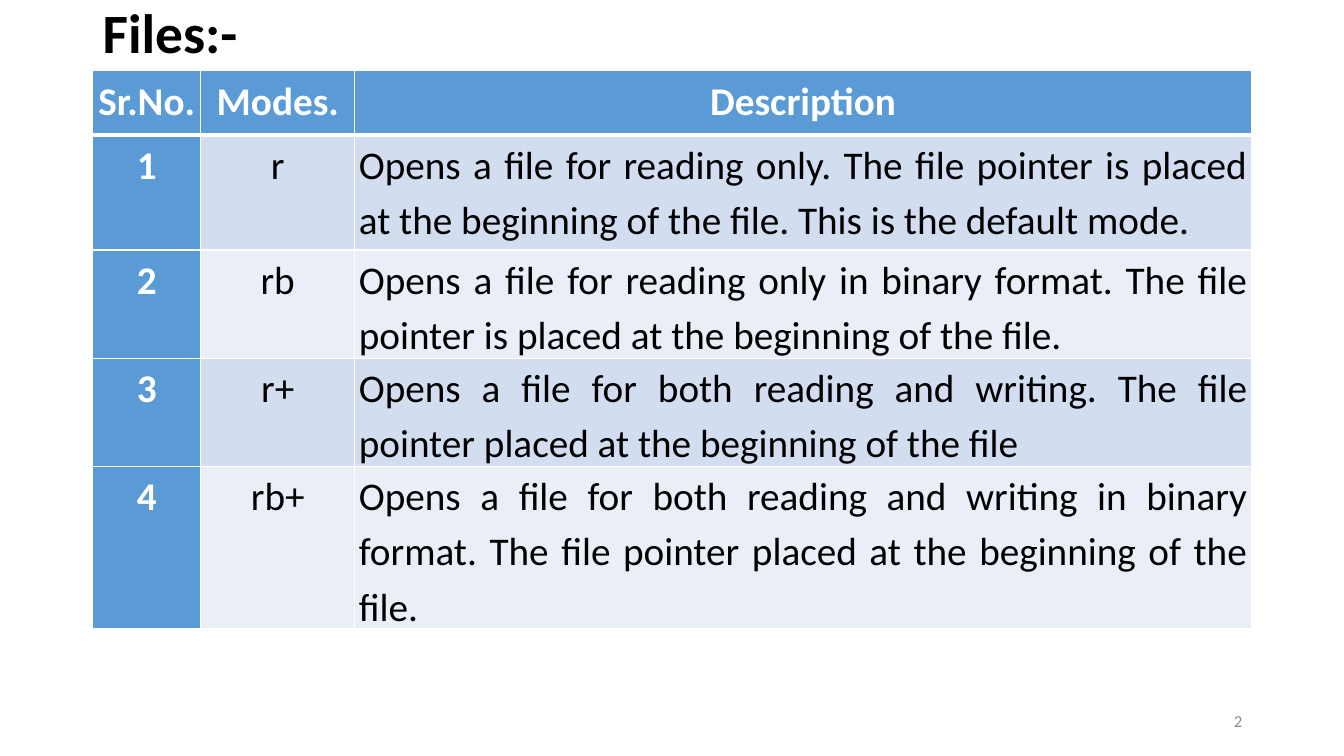
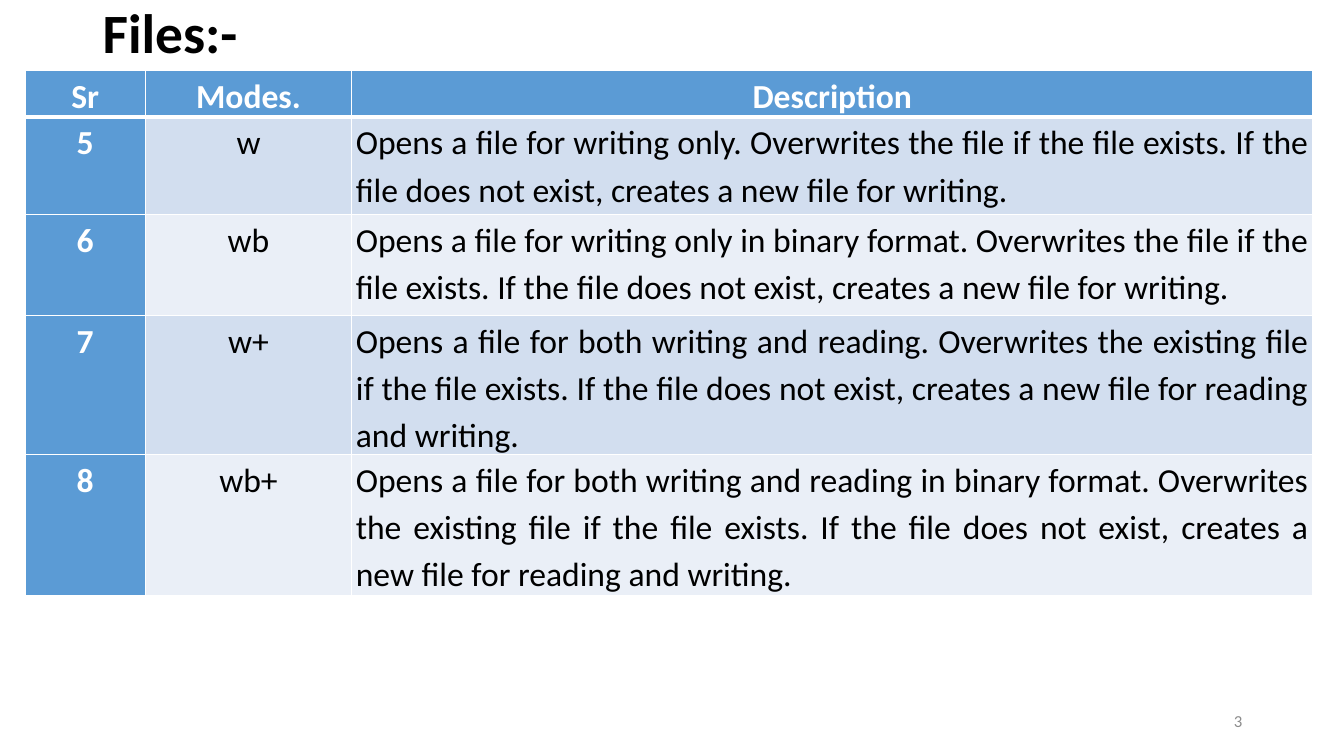
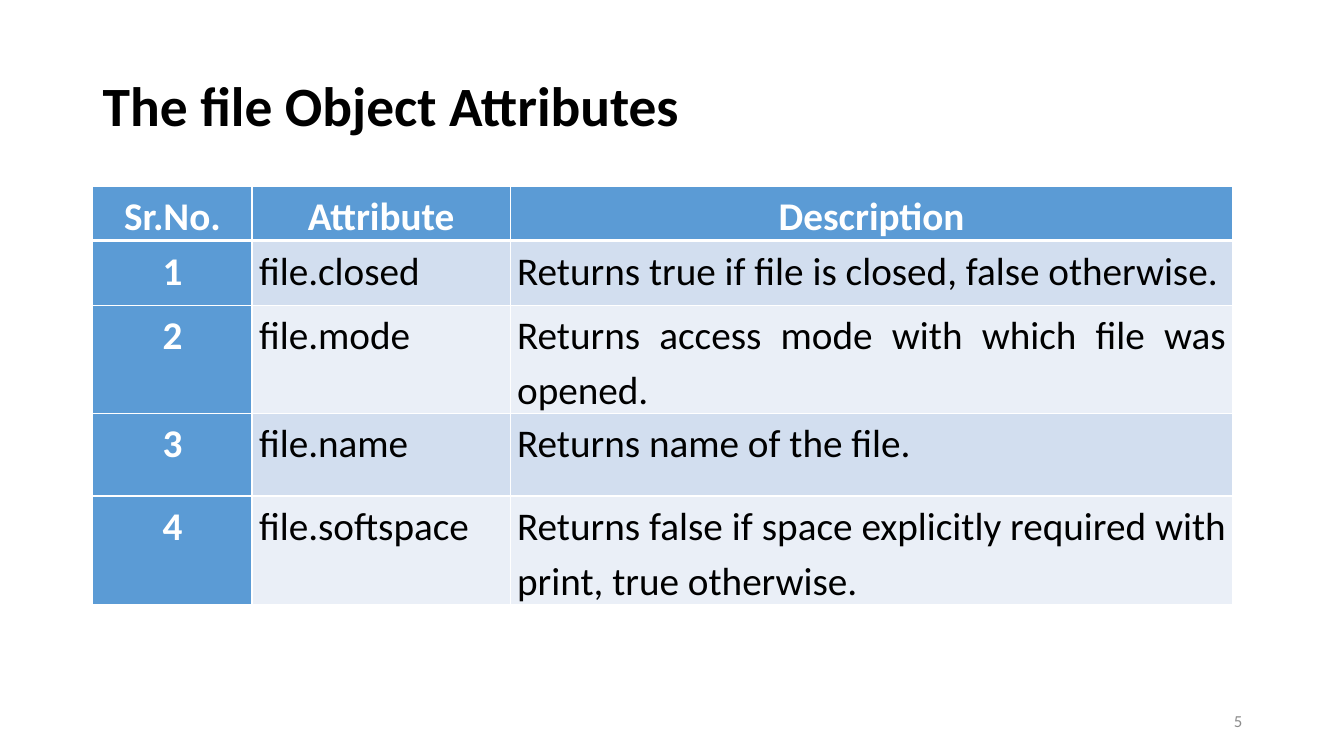
from lxml.etree import SubElement
from pptx import Presentation
from pptx.dml.color import RGBColor
from pptx.enum.text import MSO_ANCHOR, PP_ALIGN
from pptx.oxml.ns import qn
from pptx.util import Inches, Pt

FONT = "Calibri"
BLACK = RGBColor(0x00, 0x00, 0x00)
WHITE = RGBColor(0xFF, 0xFF, 0xFF)
GREY = RGBColor(0x8C, 0x8C, 0x8C)
BLUE = RGBColor(0x5B, 0x9B, 0xD5)
BANDS = (RGBColor(0xD2, 0xDE, 0xEF), RGBColor(0xEA, 0xEF, 0xF7))

MARGIN = 0.92
TITLE_WIDTH = 11.5
CENTER, JUSTIFY = PP_ALIGN.CENTER, PP_ALIGN.JUSTIFY

READ_MODES = [
    ("Sr.No.", "Modes.", "Description"),
    ("1", "r", "Opens a file for reading only. The file pointer is placed at the "
               "beginning of the file. This is the default mode."),
    ("2", "rb", "Opens a file for reading only in binary format. The file pointer is "
                "placed at the beginning of the file."),
    ("3", "r+", "Opens a file for both reading and writing. The file pointer placed at "
                "the beginning of the file"),
    ("4", "rb+", "Opens a file for both reading and writing in binary format. The file "
                 "pointer placed at the beginning of the file."),
]
WRITE_MODES = [
    ("Sr", "Modes.", "Description"),
    ("5", "w", "Opens a file for writing only. Overwrites the file if the file exists. "
               "If the file does not exist, creates a new file for writing."),
    ("6", "wb", "Opens a file for writing only in binary format. Overwrites the file if "
                "the file exists. If the file does not exist, creates a new file for writing."),
    ("7", "w+", "Opens a file for both writing and reading. Overwrites the existing file "
                "if the file exists. If the file does not exist, creates a new file for "
                "reading and writing."),
    ("8", "wb+", "Opens a file for both writing and reading in binary format. Overwrites "
                 "the existing file if the file exists. If the file does not exist, creates "
                 "a new file for reading and writing."),
]
FILE_ATTRIBUTES = [
    ("Sr.No.", "Attribute", "Description"),
    ("1", "file.closed", "Returns true if file is closed, false otherwise."),
    ("2", "file.mode", "Returns access mode with which file was opened."),
    ("3", "file.name", "Returns name of the file."),
    ("4", "file.softspace", "Returns false if space explicitly required with print, "
                            "true otherwise."),
]


def add_run(paragraph, text, size, color, bold=False):
    run = paragraph.add_run()
    run.text = text
    run.font.name = FONT
    run.font.size = Pt(size)
    run.font.bold = bold
    run.font.color.rgb = color


def add_text(slide, box, text, size, color, bold=False, alignment=PP_ALIGN.LEFT, line_spacing=1.0):
    shape = slide.shapes.add_textbox(*map(Inches, box))
    frame = shape.text_frame
    frame.word_wrap = True
    frame.vertical_anchor = MSO_ANCHOR.MIDDLE
    paragraph = frame.paragraphs[0]
    paragraph.alignment = alignment
    paragraph.line_spacing = line_spacing
    add_run(paragraph, text, size, color, bold)


def set_borders(cell, top, bottom):
    properties = cell._tc.get_or_add_tcPr()
    for side, width in (("L", 1), ("R", 1), ("T", top), ("B", bottom)):
        line = SubElement(properties, qn(f"a:ln{side}"), w=str(Pt(width)))
        fill = SubElement(line, qn("a:solidFill"))
        SubElement(fill, qn("a:srgbClr"), val=str(WHITE))


def fill_cell(cell, text, size, inset, row, column, alignment):
    accented = row == 0 or column == 0
    set_borders(cell, top=3 if row == 1 else 1, bottom=3 if row == 0 else 1)
    cell.fill.solid()
    cell.fill.fore_color.rgb = BLUE if accented else BANDS[(row - 1) % 2]
    cell.margin_left = cell.margin_right = Inches(inset)
    cell.margin_top = cell.margin_bottom = 0
    paragraph = cell.text_frame.paragraphs[0]
    paragraph.alignment = CENTER if accented else alignment
    paragraph.line_spacing = 1.15
    paragraph.space_before = paragraph.space_after = Pt(6)
    add_run(paragraph, text, size, WHITE if accented else BLACK, accented)


def add_grid(slide, left, top, widths, heights, rows, size, inset, middle_alignment):
    shape = slide.shapes.add_table(
        len(rows), len(widths), Inches(left), Inches(top),
        Inches(sum(widths)), Inches(sum(heights)))
    table = shape.table
    for column, width in zip(table.columns, widths):
        column.width = Inches(width)
    for row, height in zip(table.rows, heights):
        row.height = Inches(height)
    alignments = (CENTER, middle_alignment, JUSTIFY)
    for row, texts in enumerate(rows):
        for column, text in enumerate(texts):
            fill_cell(table.cell(row, column), text, size, inset, row, column, alignments[column])


def add_slide(presentation, title, title_top, title_height, number):
    slide = presentation.slides.add_slide(presentation.slide_layouts[6])
    add_text(slide, (MARGIN, title_top, TITLE_WIDTH, title_height), title, 39.6, BLACK,
             bold=True, line_spacing=0.9)
    add_text(slide, (9.42, 6.95, 3, 0.4), number, 12, GREY, alignment=PP_ALIGN.RIGHT)
    return slide


def main():
    presentation = Presentation()
    presentation.slide_width = Inches(13.33)
    presentation.slide_height = Inches(7.5)

    slide = add_slide(presentation, "Files:-", 0, 0.7, "2")
    add_grid(slide, MARGIN, 0.7, (1.07, 1.53, 8.89), (0.64, 1.14, 1, 1, 1.02),
             READ_MODES, 28, 0.04, CENTER)

    slide = add_slide(presentation, "Files:-", 0, 0.7, "3")
    add_grid(slide, 0.25, 0.7, (1.19, 2.05, 9.53), (0.44, 0.97, 1, 1.32, 1.4),
             WRITE_MODES, 24, 0.04, CENTER)

    slide = add_slide(presentation, "The file Object Attributes", 0.35, 1.45, "5")
    add_grid(slide, MARGIN, 1.85, (1.58, 2.56, 7.17), (0.48, 0.64, 0.87, 0.82, 0.88),
             FILE_ATTRIBUTES, 28, 0.07, JUSTIFY)

    presentation.save("out.pptx")


if __name__ == "__main__":
    main()
